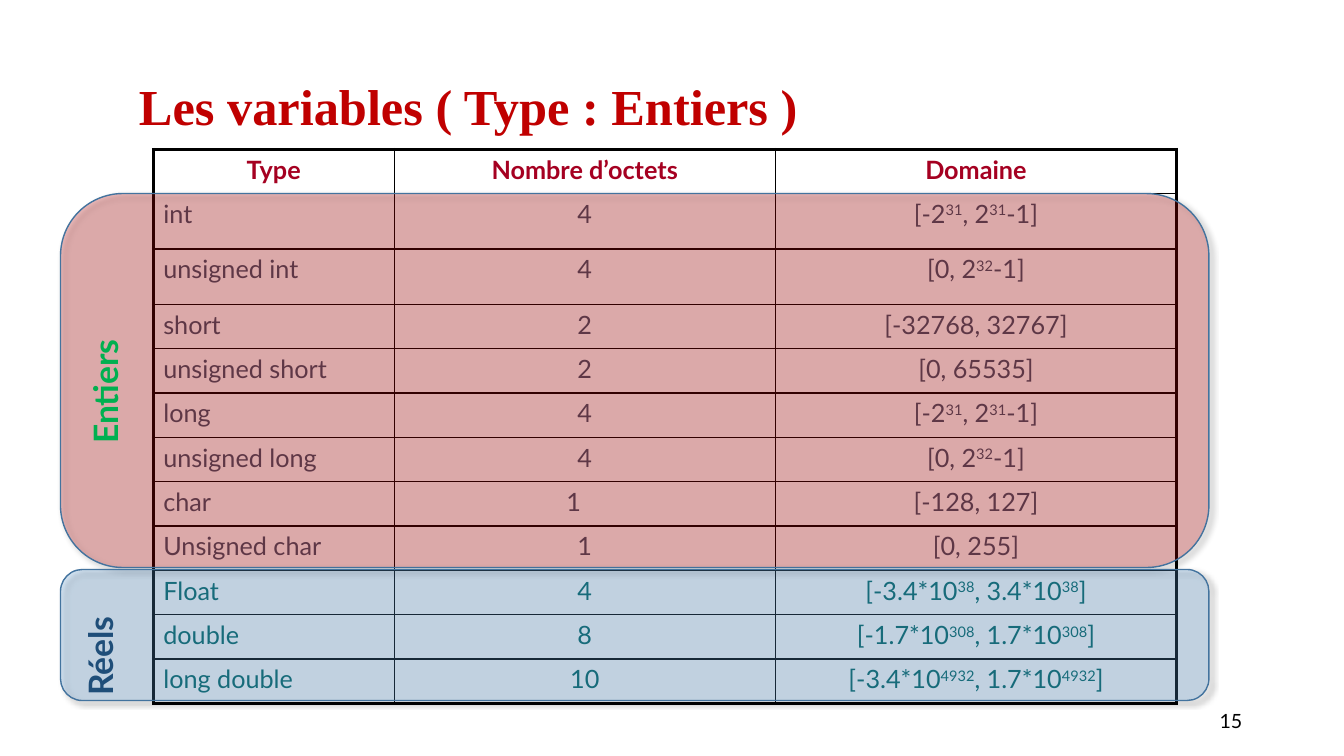
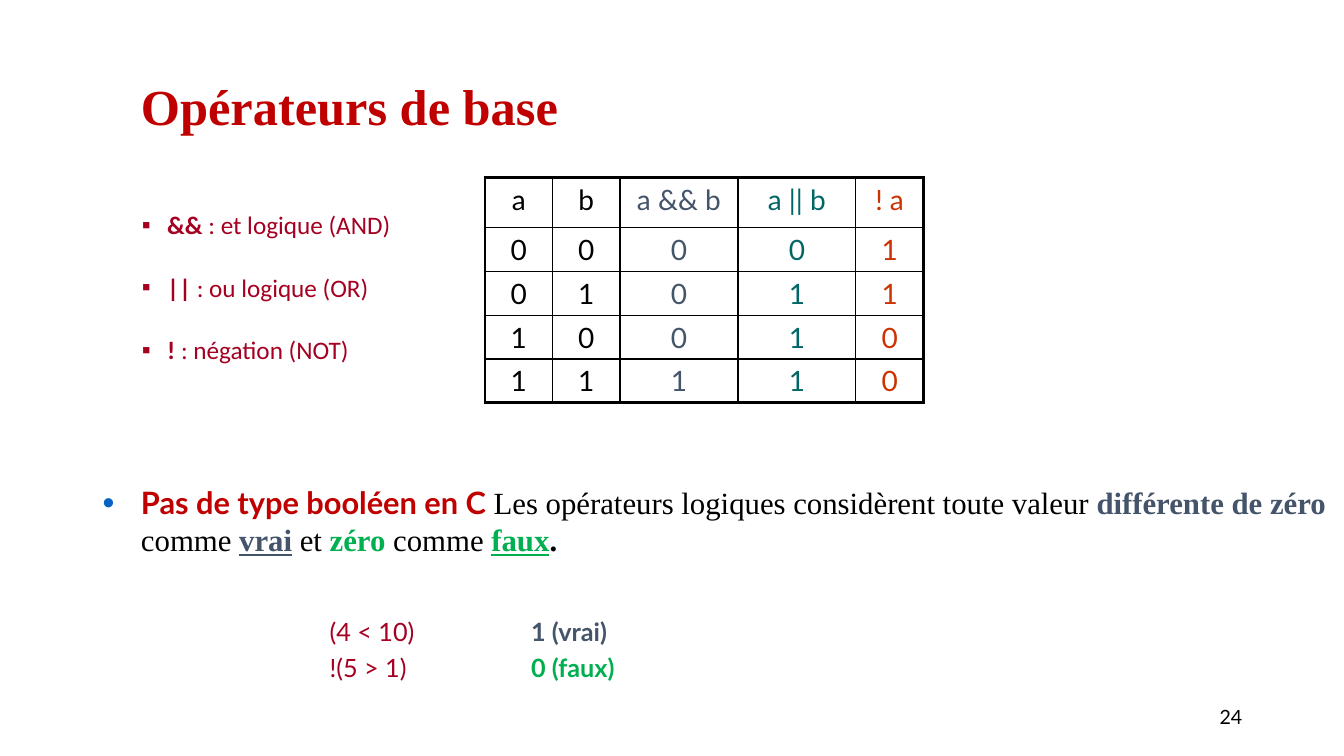
"""Builds two lesson slides on C: variable types and logical operators."""
from lxml import etree
from pptx import Presentation
from pptx.dml.color import RGBColor
from pptx.enum.shapes import MSO_SHAPE
from pptx.enum.text import MSO_ANCHOR, PP_ALIGN
from pptx.oxml.ns import qn
from pptx.util import Inches, Pt

ROUND = MSO_SHAPE.ROUNDED_RECTANGLE
MIDDLE = MSO_ANCHOR.MIDDLE
LEFT, CENTER, RIGHT = PP_ALIGN.LEFT, PP_ALIGN.CENTER, PP_ALIGN.RIGHT
SERIF, SANS, PLAIN = "Times New Roman", "Lato", "Calibri"
COLORS = {
    "red": "C00000", "wine": "A50021", "slate": "44546A", "teal": "006666",
    "rust": "CC3300", "green": "00B050", "navy": "1F4E79", "sky": "5B9BD5",
    "edge": "43739E", "link": "0563C1", "black": "000000",
}
RGB = {name: RGBColor.from_string(code) for name, code in COLORS.items()}


def add(parent, tag, **attrs):
    return etree.SubElement(parent, qn(tag), {k: str(v) for k, v in attrs.items()})


def box(slide, spot, text="", size=18, font=SANS, color="black", bold=False):
    shape = slide.shapes.add_textbox(*map(Inches, spot))
    shape.text_frame.word_wrap = True
    para = shape.text_frame.paragraphs[0]
    if text:
        para.text = text
        para.font.size, para.font.name, para.font.bold = Pt(size), font, bold
        para.font.color.rgb = RGB[color]
    return shape, para


deck = Presentation()
deck.slide_width, deck.slide_height = Inches(13.33), Inches(7.5)
types, logic = [deck.slides.add_slide(deck.slide_layouts[6]) for _ in range(2)]

for slide, left, title, top, number in [
    (types, 1.28, "Les variables ( Type : Entiers )", 6.95, "15"),
    (logic, 1.3, "Opérateurs de base", 6.91, "24"),
]:
    shape, para = box(slide, (left, 0.71, 9, 0.75), title, 36, SERIF, "red", True)
    shape.text_frame.vertical_anchor = MIDDLE
    para.line_spacing = 0.9
    shape, para = box(slide, (9.42, top, 3, 0.4), number, 14)
    shape.text_frame.vertical_anchor = MIDDLE
    para.alignment = RIGHT

kinds = [
    ("Type", "Nombre d’octets", "Domaine"),
    ("int", "4", "[-2^31^, 2^31^-1]"),
    ("unsigned int", "4", "[0, 2^32^-1]"),
    ("short", "2", "[-32768, 32767]"),
    ("unsigned short", "2", "[0, 65535]"),
    ("long", "4", "[-2^31^, 2^31^-1]"),
    ("unsigned long", "4", "[0, 2^32^-1]"),
    ("char", "1", "[-128, 127]"),
    ("Unsigned char", "1", "[0, 255]"),
    ("Float", "4", "[-3.4*10^38^, 3.4*10^38^]"),
    ("double", "8", "[-1.7*10^308^, 1.7*10^308^]"),
    ("long double", "10", "[-3.4*10^4932^, 1.7*10^4932^]"),
]
truth = [("a", "b", "a && b", "a || b", "! a")]
for a in (0, 1):
    for b in (0, 1):
        truth.append([str(int(v)) for v in (a, b, a and b, a or b, not a)])

kind_inks = [[ink] * 3 for ink in ["wine"] + ["slate"] * 8 + ["teal"] * 3]
truth_inks = [["black", "black", "slate", "teal", "rust"]] * 5
grids = []
for slide, left, top, cols, rows, size, cells, inks in [
    (types, 1.52, 1.48, [2.39, 3.78, 3.98], [0.44, 0.55, 0.55] + [0.44] * 9,
     18, kinds, kind_inks),
    (logic, 4.81, 1.76, [0.67, 0.67, 1.17, 1.17, 0.67], [0.5] + [0.43] * 4,
     20, truth, truth_inks),
]:
    spot = map(Inches, (left, top, sum(cols), sum(rows)))
    grid = slide.shapes.add_table(len(rows), len(cols), *spot).table
    grid.first_row = grid.horz_banding = False
    grids.append(grid)
    for col, width in zip(grid.columns, cols):
        col.width = Inches(width)
    for r, height in enumerate(rows):
        grid.rows[r].height = Inches(height)
        for c in range(len(cols)):
            cell = grid.cell(r, c)
            para = cell.text_frame.paragraphs[0]
            label = slide is types and c == 0 and r > 0
            para.alignment = LEFT if label else CENTER
            para.font.size, para.font.name = Pt(size), SANS
            para.font.bold = slide is types and r == 0
            para.font.color.rgb = RGB[inks[r][c]]
            for i, part in enumerate(cells[r][c].split("^")):
                run = para.add_run()
                run.text = part
                if i % 2:
                    run._r.get_or_add_rPr().set("baseline", "30000")
            props = cell._tc.get_or_add_tcPr()
            for side, outer in [("L", c == 0), ("R", c == len(cols) - 1),
                                ("T", r == 0), ("B", r == len(rows) - 1)]:
                line = add(props, "a:ln" + side, w=Pt(2.25 if outer else 1))
                add(add(line, "a:solidFill"), "a:srgbClr", val=COLORS["black"])
            cell.fill.background()
grids[0].cell(7, 1).margin_right = Inches(0.32)

for top, height, color in [(1.92, 3.71, "red"), (5.65, 1.3, "sky")]:
    band = types.shapes.add_shape(ROUND, *map(Inches, (0.6, top, 11.39, height)))
    band.fill.solid()
    band.fill.fore_color.rgb = RGB[color]
    band.line.color.rgb, band.line.width = RGB["edge"], Pt(1)
    band.shadow.inherit = False
    props = band._element.spPr
    add(props.find(qn("a:solidFill"))[0], "a:alpha", val=26000)
    glow = add(props.find(qn("a:effectLst")), "a:outerShdw", blurRad=Pt(4),
               dist=Pt(3), dir=2700000, algn="tl", rotWithShape=0)
    add(add(glow, "a:srgbClr", val=COLORS["black"]), "a:alpha", val=40000)

for left, top, text, color in [(0.34, 3.55, "Entiers", "green"),
                               (0.29, 6.05, "Réels", "navy")]:
    shape, para = box(types, (left, top, 1.4, 0.5), text, 24, SANS, color, True)
    shape.rotation = 270

signs = box(logic, (0.81, 2.03, 3.9, 1.7))[0].text_frame
note = box(logic, (0.92, 4.75, 12.42, 1.91))[0].text_frame
square, dot = ("▪", "wine", 100), ("•", "link", 110)
for frame, indent, hang, bullet, gap, size, font, runs in [
    (signs, 0.75, 0.25, square, 0, 18, PLAIN,
     [("&&", "wine", True), (" : et logique (AND)", "wine", False)]),
    (signs, 0.75, 0.25, square, 23, 18, PLAIN,
     [("||", "wine", True), (" : ou logique (OR)", "wine", False)]),
    (signs, 0.75, 0.25, square, 23, 18, PLAIN,
     [("! ", "wine", True), (": négation (NOT)", "wine", False)]),
    (note, 0.38, 0.38, dot, 0, 22, SERIF,
     [("Pas de type booléen en C ", "red", True),
      ("Les opérateurs logiques considèrent toute valeur ", "black", False),
      ("différente de zéro ", "slate", True), ("comme ", "black", False),
      ("vrai", "slate", True), (" et ", "black", False),
      ("zéro ", "green", True), ("comme ", "black", False),
      ("faux", "green", True), (".", "black", True)]),
    (note, 2.25, 0, None, 42, 18, SANS,
     [("(4 < 10)\t\t", "wine", False), ("1 (vrai)", "slate", True)]),
    (note, 2.25, 0, None, 4, 18, SANS,
     [("!(5 > 1)\t\t", "wine", False), ("0 (faux)", "green", True)]),
]:
    para = frame.add_paragraph() if frame.paragraphs[0].runs else frame.paragraphs[0]
    props = para._p.get_or_add_pPr()
    props.set("marL", str(Inches(indent)))
    props.set("indent", str(-Inches(hang)))
    props.set("defTabSz", str(Inches(1)))
    if bullet:
        mark, color, scale = bullet
        add(add(props, "a:buClr"), "a:srgbClr", val=COLORS[color])
        add(props, "a:buSzPct", val=scale * 1000)
        add(props, "a:buFont", typeface="Arial")
        add(props, "a:buChar", char=mark)
    if gap:
        para.space_before = Pt(gap)
    para.font.size, para.font.name = Pt(size), font
    for text, color, bold in runs:
        run = para.add_run()
        run.text = text
        run.font.bold, run.font.color.rgb = bold, RGB[color]
        if text in ("vrai", "faux"):
            run.font.underline = True
note.paragraphs[0].runs[0].font.name = SANS

deck.save("out.pptx")
